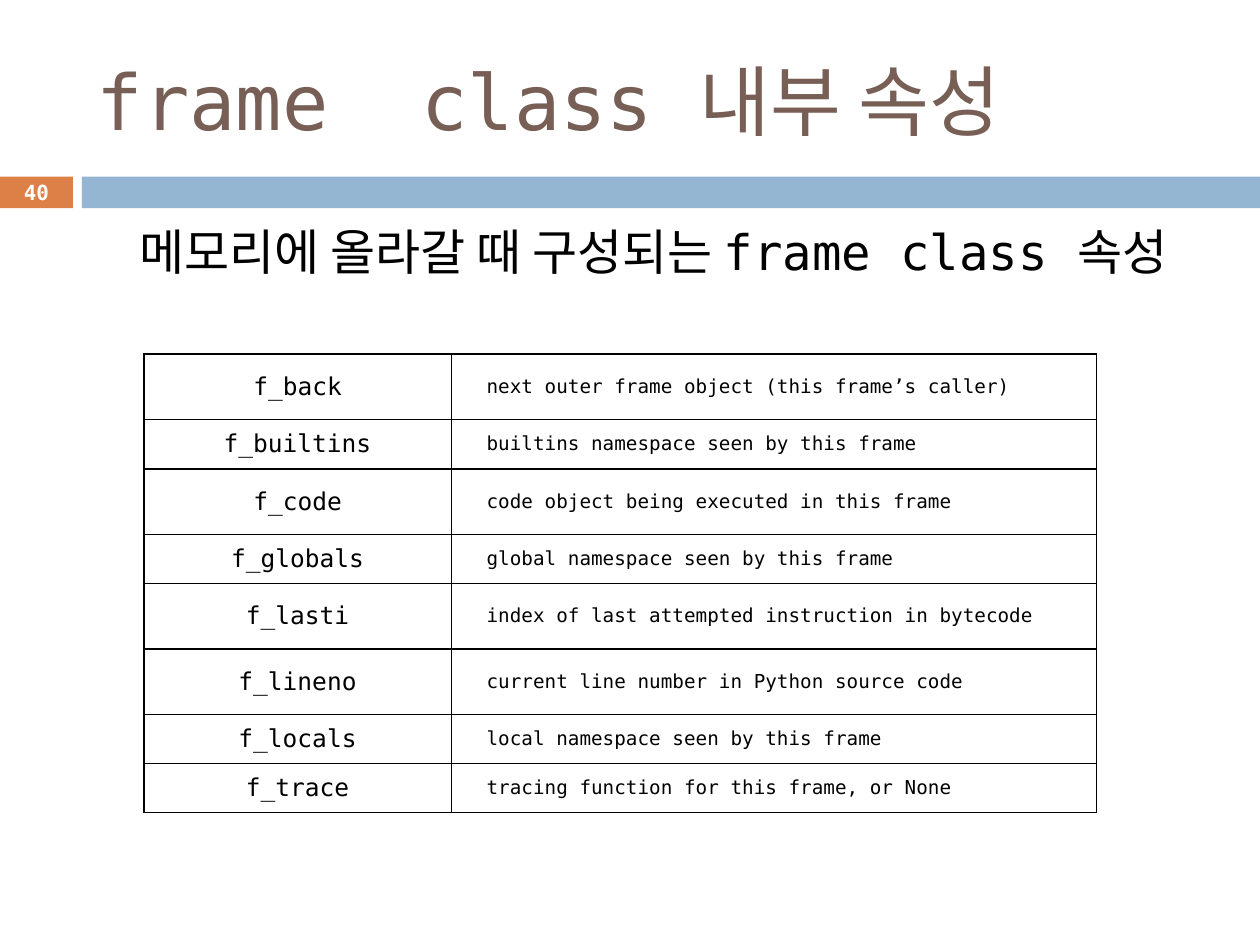
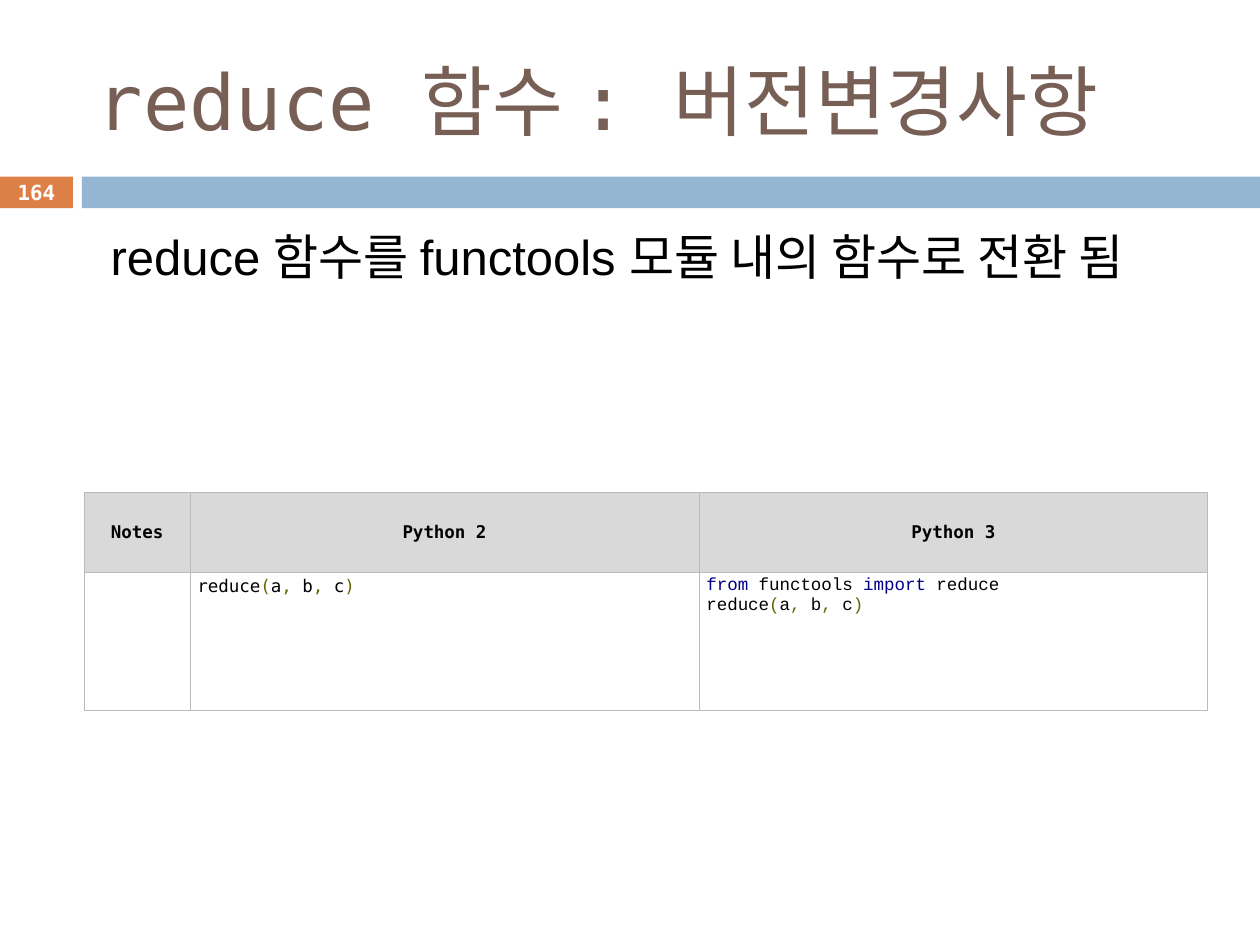
from itertools import groupby

from lxml.etree import SubElement
from pptx import Presentation
from pptx.dml.color import RGBColor
from pptx.enum.shapes import MSO_SHAPE as Shape
from pptx.enum.text import MSO_ANCHOR as Anchor, PP_ALIGN as Align
from pptx.oxml.ns import qn
from pptx.util import Cm, Pt

MONO, SANS, COURIER = "DejaVu Sans Mono", "Arial", "Courier New"
BLACK, WHITE = "000000", "FFFFFF"
BROWN, ORANGE, BLUE = "775F55", "DD8047", "94B6D2"
HEADER_GRAY, BORDER_GRAY = "D9D9D9", "BBBBBB"
KEYWORD_NAVY, SYMBOL_OLIVE = "000088", "666600"

TITLE_SIZE, BODY_SIZE = 44, 28
BAND_TOP, BAND_HEIGHT = 3.56, 0.64

FRAME_ATTRIBUTES = [
    ("f_back", "next outer frame object (this frame’s caller)"),
    ("f_builtins", "builtins namespace seen by this frame"),
    ("f_code", "code object being executed in this frame"),
    ("f_globals", "global namespace seen by this frame"),
    ("f_lasti", "index of last attempted instruction in bytecode"),
    ("f_lineno", "current line number in Python source code"),
    ("f_locals", "local namespace seen by this frame"),
    ("f_trace", "tracing function for this frame, or None"),
]
TALL_ROWS = {"f_back", "f_code", "f_lasti", "f_lineno"}


def color_of(hex_string):
    return RGBColor.from_string(hex_string)


def write(frame, lines, size=18, font=MONO, color=BLACK, bold=False,
          align=Align.LEFT):
    """Fill a text frame; each line is a string or a list of (text, changes)."""
    if isinstance(lines, str):
        lines = [lines]
    for number, line in enumerate(lines):
        para = frame.add_paragraph() if number else frame.paragraphs[0]
        para.alignment = align
        spans = [(line, {})] if isinstance(line, str) else line
        for text, changes in spans:
            span = para.add_run()
            span.text = text
            span.font.size = Pt(size)
            span.font.name = font
            span.font.bold = bold
            span.font.color.rgb = color_of(changes.get("color", color))
            if "spacing" in changes:
                span.font._element.set("spc", str(changes["spacing"]))


def highlight(code):
    """Split a line of code into spans coloured by kind of token."""
    def kind(char):
        return "symbol" if char in "(,)" else "space" if char == " " else "word"

    spans = []
    for token_kind, chars in groupby(code, kind):
        token = "".join(chars)
        if token_kind == "symbol":
            color = SYMBOL_OLIVE
        else:
            color = KEYWORD_NAVY if token in ("from", "import") else BLACK
        spans.append((token, {"color": color}))
    return spans


def add_text(page, lines, left, top, width, height, anchor=Anchor.TOP, **style):
    box = page.shapes.add_textbox(Cm(left), Cm(top), Cm(width), Cm(height))
    box.text_frame.word_wrap = True
    box.text_frame.vertical_anchor = anchor
    write(box.text_frame, lines, **style)


def add_band(page, left, width, color):
    band = page.shapes.add_shape(Shape.RECTANGLE, Cm(left), Cm(BAND_TOP),
                                 Cm(width), Cm(BAND_HEIGHT))
    band.shadow.inherit = False
    band.fill.solid()
    band.fill.fore_color.rgb = color_of(color)
    band.line.fill.background()
    return band


def add_page(deck, title, number):
    """Add a slide with the shared title, bands and page number."""
    page = deck.slides.add_slide(deck.slide_layouts[6])
    number_frame = add_band(page, 0, 1.47, ORANGE).text_frame
    number_frame.margin_top = number_frame.margin_bottom = 0
    number_frame.vertical_anchor = Anchor.MIDDLE
    write(number_frame, str(number), size=11.9, color=WHITE, bold=True,
          align=Align.CENTER)
    add_band(page, 1.65, 23.75, BLUE)
    add_text(page, title, 1.7, 0.64, 22.66, 2.74, anchor=Anchor.MIDDLE,
             size=TITLE_SIZE, color=BROWN)
    return page


def add_grid(page, left, top, widths, heights):
    """Add a table without a banded style."""
    grid = page.shapes.add_table(len(heights), len(widths), Cm(left), Cm(top),
                                 Cm(sum(widths)), Cm(sum(heights))).table
    grid.first_row = grid.horz_banding = False
    for column, width in zip(grid.columns, widths):
        column.width = Cm(width)
    for row, height in zip(grid.rows, heights):
        row.height = Cm(height)
    return grid


def set_borders(cell, color, points):
    properties = cell._tc.get_or_add_tcPr()
    for side in ("a:lnL", "a:lnR", "a:lnT", "a:lnB"):
        line = SubElement(properties, qn(side), w=str(Pt(points)))
        fill = SubElement(line, qn("a:solidFill"))
        SubElement(fill, qn("a:srgbClr"), val=color)


def fill_cell(cell, lines, border, fill=WHITE, margins=(0.15, 0.08, 0.15, 0.08),
              anchor=Anchor.MIDDLE, **style):
    """Format a cell; border is (color, points), margins go left to bottom."""
    set_borders(cell, *border)
    cell.fill.solid()
    cell.fill.fore_color.rgb = color_of(fill)
    (cell.margin_left, cell.margin_top,
     cell.margin_right, cell.margin_bottom) = map(Cm, margins)
    cell.vertical_anchor = anchor
    write(cell.text_frame, lines, **style)


def add_frame_page(deck):
    title = [("frame", {}), (" ", {"spacing": 2650}), ("class 내부 속성", {})]
    page = add_page(deck, [title], 40)
    add_text(page, "메모리에 올라갈 때 구성되는 frame class 속성",
             2.57, 4.34, 21.59, 3.78, size=BODY_SIZE)

    heights = [1.32 if name in TALL_ROWS else 0.99
               for name, _ in FRAME_ATTRIBUTES]
    grid = add_grid(page, 2.9, 7.14, [6.2, 13], heights)
    border = (BLACK, 1)
    for row, (name, meaning) in enumerate(FRAME_ATTRIBUTES):
        fill_cell(grid.cell(row, 0), name, border, size=14, align=Align.CENTER,
                  margins=(0.05, 0.03, 0.05, 0.03))
        fill_cell(grid.cell(row, 1), meaning, border, size=11,
                  margins=(0.71, 0.03, 0.05, 0.03))


def add_reduce_page(deck):
    page = add_page(deck, "reduce 함수 : 버전변경사항", 164)
    add_text(page, "reduce 함수를 functools 모듈 내의 함수로 전환 됨",
             1.98, 4.45, 22.38, 3.48, size=BODY_SIZE, font=SANS)

    grid = add_grid(page, 1.7, 9.93, [2.13, 10.26, 10.26], [1.6, 2.79])
    border = (BORDER_GRAY, 0.6)
    for column, heading in enumerate(["Notes", "Python 2", "Python 3"]):
        fill_cell(grid.cell(0, column), heading, border, fill=HEADER_GRAY,
                  size=10, bold=True, align=Align.CENTER)
    call = "reduce(a, b, c)"
    code_cells = [
        ([], MONO),
        ([call], MONO),
        (["from functools import reduce", call], COURIER),
    ]
    for column, (code, font) in enumerate(code_cells):
        fill_cell(grid.cell(1, column), [highlight(line) for line in code],
                  border, anchor=Anchor.TOP, size=10, font=font)


def main():
    deck = Presentation()
    deck.slide_width, deck.slide_height = Cm(25.4), Cm(19.05)
    add_frame_page(deck)
    add_reduce_page(deck)
    deck.save("out.pptx")


if __name__ == "__main__":
    main()
